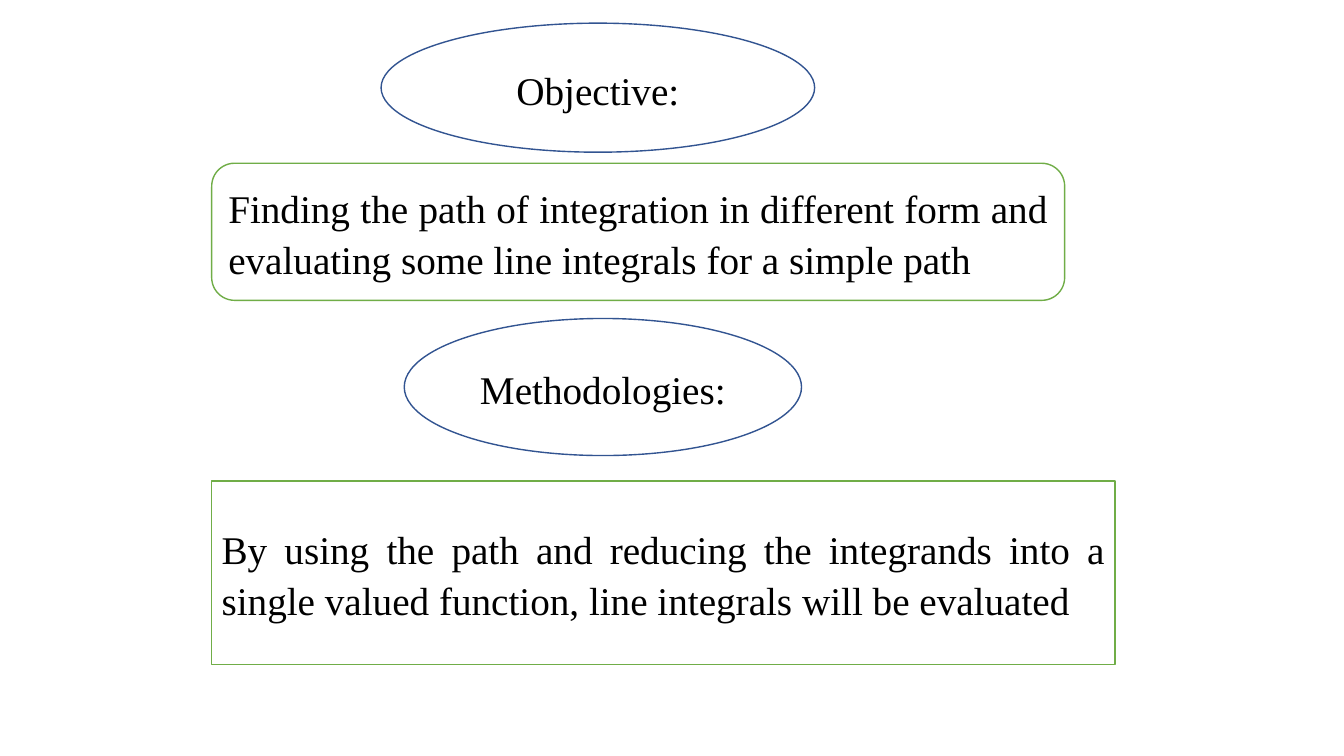
from pptx import Presentation
from pptx.dml.color import RGBColor
from pptx.enum.shapes import MSO_SHAPE
from pptx.enum.text import MSO_ANCHOR, PP_ALIGN
from pptx.util import Inches, Pt

BLACK = RGBColor(0x00, 0x00, 0x00)
BLUE = RGBColor(0x32, 0x54, 0x91)
GREEN = RGBColor(0x70, 0xAD, 0x47)

prs = Presentation()
prs.slide_width = Inches(13.33)
prs.slide_height = Inches(7.5)
slide = prs.slides.add_slide(prs.slide_layouts[6])


def add_outlined_text(text, bounds, *, outline, border, align):
    shape = slide.shapes.add_shape(outline, *map(Inches, bounds))
    shape.shadow.inherit = False
    shape.fill.background()
    shape.line.color.rgb = border
    shape.line.width = Pt(1)
    frame = shape.text_frame
    frame.word_wrap = True
    frame.vertical_anchor = MSO_ANCHOR.MIDDLE
    paragraph = frame.paragraphs[0]
    paragraph.alignment = align
    paragraph.line_spacing = 1.07
    run = paragraph.add_run()
    run.text = text
    run.font.name = "Times New Roman"
    run.font.size = Pt(28)
    run.font.color.rgb = BLACK


sections = [
    ("Objective:", (3.78, 0.23, 4.3, 1.28),
     "Finding the path of integration in different form and "
     "evaluating some line integrals for a simple path",
     (2.1, 1.62, 8.46, 1.36), MSO_SHAPE.ROUNDED_RECTANGLE),
    ("Methodologies:", (4.01, 3.16, 3.94, 1.36),
     "By using the path and reducing the integrands into a "
     "single valued function, line integrals will be evaluated",
     (2.1, 4.77, 8.96, 1.82), MSO_SHAPE.RECTANGLE),
]

for heading, heading_bounds, statement, statement_bounds, frame_outline in sections:
    add_outlined_text(heading, heading_bounds, outline=MSO_SHAPE.OVAL,
                      border=BLUE, align=PP_ALIGN.CENTER)
    add_outlined_text(statement, statement_bounds, outline=frame_outline,
                      border=GREEN, align=PP_ALIGN.JUSTIFY)

prs.save("out.pptx")
